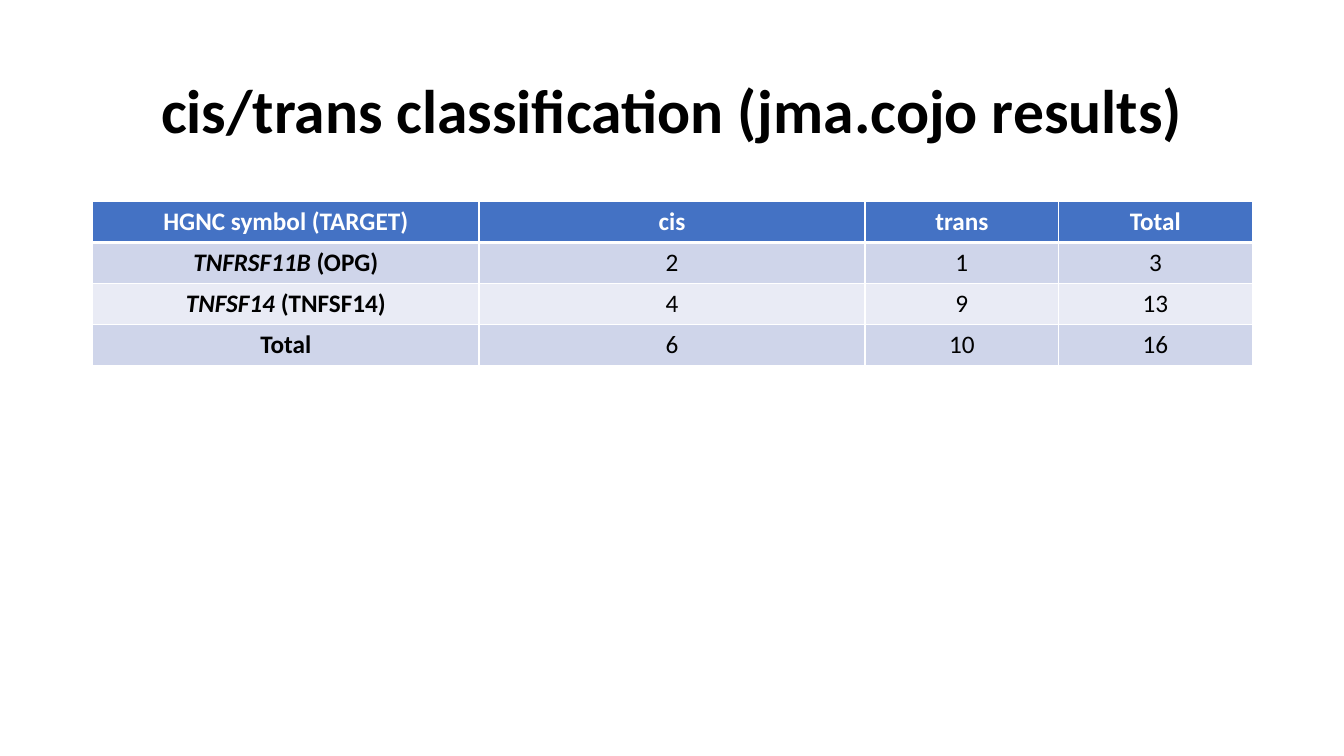
from lxml import etree
from pptx import Presentation
from pptx.dml.color import RGBColor
from pptx.enum.text import MSO_ANCHOR, PP_ALIGN
from pptx.oxml.ns import qn
from pptx.util import Inches, Pt

CENTER = PP_ALIGN.CENTER
MIDDLE = MSO_ANCHOR.MIDDLE
BLACK = RGBColor(0x00, 0x00, 0x00)
WHITE = RGBColor(0xFF, 0xFF, 0xFF)
HEADER_BLUE = RGBColor(0x44, 0x72, 0xC4)
BAND_DARK = RGBColor(0xCF, 0xD5, 0xEA)
BAND_LIGHT = RGBColor(0xE9, 0xEB, 0xF5)
TITLE_ONLY_LAYOUT = 5

COLUMN_WIDTHS = [3.83, 3.83, 1.92, 1.92]
ROW_HEIGHT = 0.405
HEADER = ["HGNC symbol (TARGET)", "cis", "trans", "Total"]
TARGETS = [
    ("TNFRSF11B", " (OPG)", 2, 1),
    ("TNFSF14 ", "(TNFSF14)", 4, 9),
]


def add_text(paragraph, text, size=18, color=BLACK, bold=False, italic=False):
    paragraph.alignment = CENTER
    run = paragraph.add_run()
    run.text = text
    run.font.name = "Calibri"
    run.font.size = Pt(size)
    run.font.color.rgb = color
    run.font.bold = bold
    run.font.italic = italic


def add_border(cell, side, width):
    properties = cell._tc.get_or_add_tcPr()
    line = etree.SubElement(properties, qn(f"a:ln{side}"), w=str(Pt(width)))
    fill = etree.SubElement(line, qn("a:solidFill"))
    etree.SubElement(fill, qn("a:srgbClr"), val=str(WHITE))


class SlideBuilder:
    def __init__(self, presentation):
        layout = presentation.slide_layouts[TITLE_ONLY_LAYOUT]
        self.slide = presentation.slides.add_slide(layout)

    def add_title(self, text):
        title = self.slide.shapes.title
        title.left, title.top = Inches(0.92), Inches(0.4)
        title.width, title.height = Inches(11.5), Inches(1.45)
        title.text_frame.vertical_anchor = MIDDLE
        paragraph = title.text_frame.paragraphs[0]
        paragraph.line_spacing = 0.9
        add_text(paragraph, text, size=44, bold=True)

    def add_table(self, rows):
        table = self.slide.shapes.add_table(
            len(rows), len(COLUMN_WIDTHS), Inches(0.92), Inches(2),
            Inches(sum(COLUMN_WIDTHS)), Inches(ROW_HEIGHT * len(rows)),
        ).table
        for column, width in zip(table.columns, COLUMN_WIDTHS):
            column.width = Inches(width)
        for row_index, values in enumerate(rows):
            table.rows[row_index].height = Inches(ROW_HEIGHT)
            for column_index, runs in enumerate(values):
                self.fill_cell(table.cell(row_index, column_index), runs,
                               row_index, column_index)

    def fill_cell(self, cell, runs, row_index, column_index):
        is_header = row_index == 0
        top = 3 if row_index == 1 else 1
        bottom = 3 if is_header else 1
        for side, width in zip("LRTB", (1, 1, top, bottom)):
            add_border(cell, side, width)
        band = BAND_DARK if row_index % 2 else BAND_LIGHT
        cell.fill.solid()
        cell.fill.fore_color.rgb = HEADER_BLUE if is_header else band
        for text, italic in runs:
            add_text(cell.text_frame.paragraphs[0], text,
                     color=WHITE if is_header else BLACK,
                     bold=is_header or column_index == 0, italic=italic)


def plain(value):
    return [(str(value), False)]


def count_cells(cis, trans):
    return [plain(value) for value in (cis, trans, cis + trans)]


def classification_rows():
    rows = [[plain(label) for label in HEADER]]
    for symbol, target, cis, trans in TARGETS:
        rows.append([[(symbol, True), (target, False)]] + count_cells(cis, trans))
    cis_total = sum(target[2] for target in TARGETS)
    trans_total = sum(target[3] for target in TARGETS)
    rows.append([plain("Total")] + count_cells(cis_total, trans_total))
    return rows


def main():
    presentation = Presentation()
    presentation.slide_width = Inches(13.33)
    presentation.slide_height = Inches(7.5)
    builder = SlideBuilder(presentation)
    builder.add_title("cis/trans classification (jma.cojo results)")
    builder.add_table(classification_rows())
    presentation.save("out.pptx")


if __name__ == "__main__":
    main()
